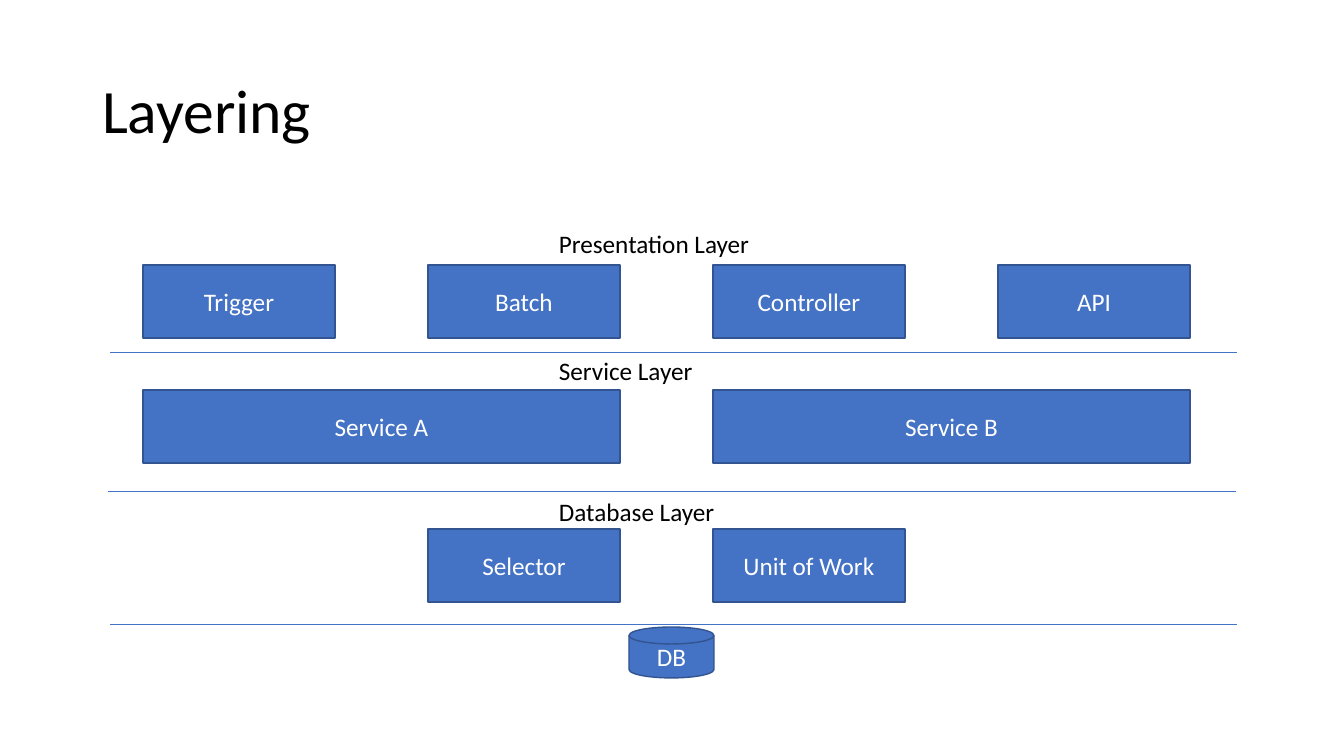
from lxml import etree
from pptx import Presentation
from pptx import util as u
from pptx.dml.color import RGBColor
from pptx.enum import shapes, text
from pptx.oxml.ns import qn

SCALE = 914400 / 100.8  # EMU per pixel
BLUE = RGBColor(0x44, 0x72, 0xC4)
OUTLINE = RGBColor(0x32, 0x54, 0x91)
BLACK = RGBColor(0, 0, 0)
WHITE = RGBColor(0xFF, 0xFF, 0xFF)
RECTANGLE = shapes.MSO_SHAPE.RECTANGLE
DISK = shapes.MSO_SHAPE.FLOWCHART_MAGNETIC_DISK


def pixels(*lengths):
    return [u.Emu(round(length * SCALE)) for length in lengths]


def write(shape, wording, size, color, align, anchor):
    frame = shape.text_frame
    frame.word_wrap = True
    frame.vertical_anchor = anchor
    frame.text = wording
    paragraph = frame.paragraphs[0]
    paragraph.alignment = align
    font_format = {"name": "Calibri", "size": u.Pt(size), "bold": False}
    for attribute, value in font_format.items():
        setattr(paragraph.runs[0].font, attribute, value)
    paragraph.runs[0].font.color.rgb = color
    return paragraph


LEFT, CENTER = text.PP_ALIGN.LEFT, text.PP_ALIGN.CENTER
TOP, MIDDLE = text.MSO_ANCHOR.TOP, text.MSO_ANCHOR.MIDDLE

presentation = Presentation()
presentation.slide_width, presentation.slide_height = pixels(1344, 756)
slide = presentation.slides.add_slide(presentation.slide_layouts[5])

# Title
title = slide.shapes.title
title.left, title.top, title.width, title.height = pixels(92, 41, 1159, 146)
write(title, "Layering", 44, BLACK, LEFT, MIDDLE).line_spacing = 0.9

# Components on a four-column grid: name, column, columns spanned, top
FIRST_COLUMN, COLUMN_STEP, BOX_WIDTH, BOX_HEIGHT = 143, 285, 192, 73
components = [
    ("Trigger", 0, 1, 265), ("Batch", 1, 1, 265),
    ("Controller", 2, 1, 265), ("API", 3, 1, 265),
    ("Service A", 0, 2, 390), ("Service B", 2, 2, 390),
    ("Selector", 1, 1, 529), ("Unit of Work", 2, 1, 529),
]
blocks = [
    (RECTANGLE, name, FIRST_COLUMN + column * COLUMN_STEP, top,
     BOX_WIDTH + (span - 1) * COLUMN_STEP, BOX_HEIGHT)
    for name, column, span, top in components
]
blocks.append((DISK, "DB", 629, 627, 85, 51))
for kind, name, left, top, width, height in blocks:
    block = slide.shapes.add_shape(kind, *pixels(left, top, width, height))
    block.shadow.inherit = False
    block.fill.solid()
    block.fill.fore_color.rgb = BLUE
    block.line.color.rgb = OUTLINE
    block.line.width = u.Pt(1)
    write(block, name, 18, WHITE, CENTER, MIDDLE)

# Lines between the layers
for left, right, y in [(110, 1237, 352), (108, 1236, 491), (110, 1237, 624)]:
    divider = slide.shapes.add_connector(
        shapes.MSO_CONNECTOR.STRAIGHT, *pixels(left, y, right, y))
    divider.line.color.rgb = BLUE
    divider.line.width = u.Pt(0.5)
    etree.SubElement(divider._element.spPr, qn("a:effectLst"))

# Layer names
for name, top in [("Presentation", 223), ("Service", 350), ("Database", 491)]:
    label = slide.shapes.add_textbox(*pixels(549, top, 232, 40))
    write(label, f"{name} Layer", 18, BLACK, LEFT, TOP)

presentation.save("out.pptx")
